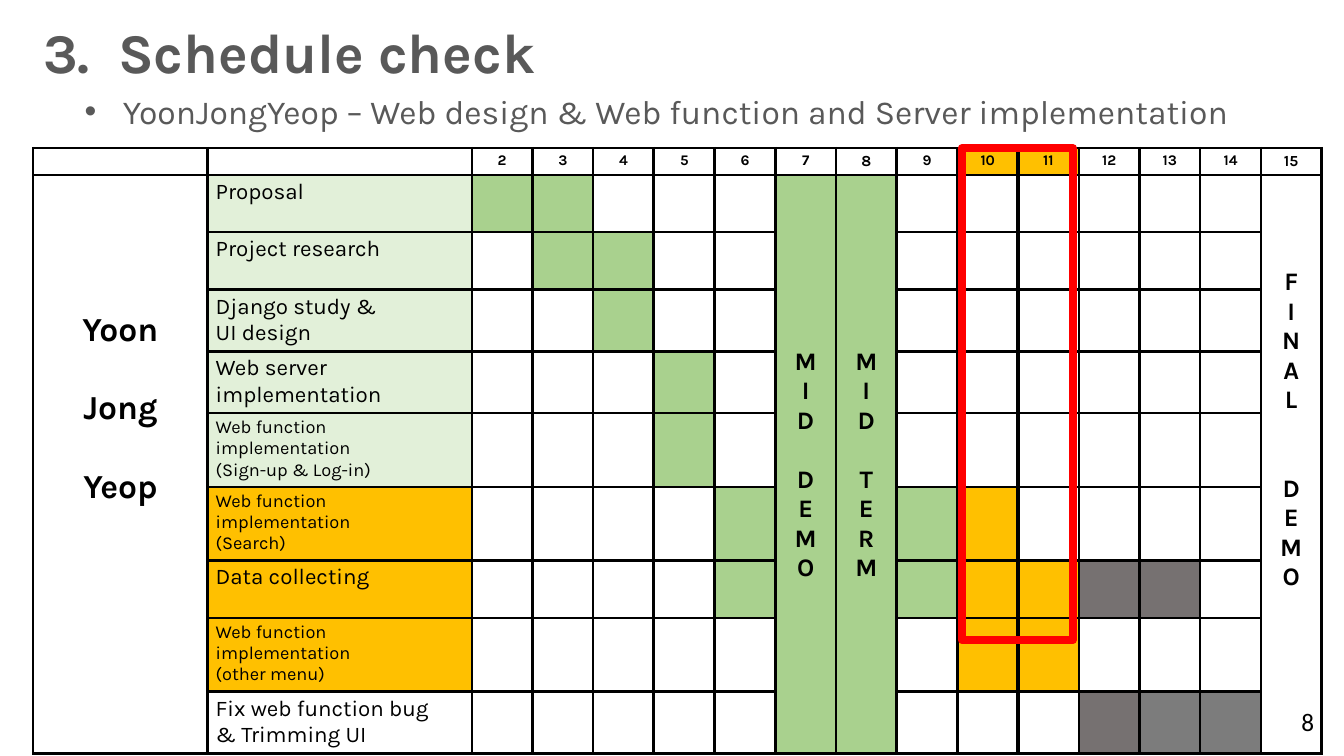
from lxml import etree
from pptx import Presentation
from pptx.dml.color import RGBColor
from pptx.enum.shapes import MSO_SHAPE
from pptx.enum.text import MSO_ANCHOR, PP_ALIGN
from pptx.oxml.ns import qn
from pptx.util import Inches, Pt

CENTER, LEFT = PP_ALIGN.CENTER, PP_ALIGN.LEFT
TOP, MIDDLE = MSO_ANCHOR.TOP, MSO_ANCHOR.MIDDLE

COLORS = {
    "text": "595959", "black": "000000", "white": "FFFFFF", "marker": "FF0000",
    "finished": "E2F0D9", "done": "A9D18E", "current": "FFC000",
    "planned": "767171", "last": "7C7C7C",
}
WEEKS = range(2, 16)
FIRST_WEEK_COLUMN = 2
LEFT_EDGE, TABLE_TOP = 0.33, 1.47
NAME_WIDTH, TASK_WIDTH, WEEK_WIDTH = 1.73, 2.62, 0.602
ROW_HEIGHTS = [0.25, 0.57, 0.57, 0.61, 0.61, 0.57, 0.57, 0.57, 0.57, 0.61]

# Task lines, text size, task state, colour of each marked week
TASKS = [
    (["Proposal"], 16, "finished", {2: "done", 3: "done"}),
    (["Project research"], 16, "finished", {3: "done", 4: "done"}),
    (["Django study &", "UI design"], 16, "finished", {4: "done"}),
    (["Web server implementation"], 16, "finished", {5: "done"}),
    (["Web function implementation", "(Sign-up & Log-in)"], 13, "finished", {5: "done"}),
    (["Web function implementation", "(Search)"], 13, "current",
     {6: "done", 9: "done", 10: "current"}),
    (["Data collecting"], 16, "current",
     {6: "done", 9: "done", 10: "current", 11: "current", 12: "planned", 13: "planned"}),
    (["Web function implementation", "(other menu)"], 13, "current",
     {10: "current", 11: "current"}),
    (["Fix web function bug", "& Trimming UI"], 16, "white",
     {12: "planned", 13: "last", 14: "last"}),
]
# Week, words, fill, anchor, top margin, gap between the words in points
MILESTONES = [
    (7, ["MID", "DEMO"], "done", MIDDLE, 0.06, 21),
    (8, ["MID", "TERM"], "done", MIDDLE, 0.06, 21),
    (15, ["FINAL", "DEMO"], "white", TOP, 0.92, 42),
]


def write(frame, lines, size, color="black", bold=False, align=LEFT, font="Karla"):
    frame.text = "\n".join(lines)
    for paragraph in frame.paragraphs:
        paragraph.alignment = align
        paragraph.font.size = Pt(size)
        paragraph.font.name = font
        paragraph.font.bold = bold
        paragraph.font.color.rgb = RGBColor.from_string(COLORS[color])


def paint(cell, fill, right_border=1.98, left_border=1.98):
    """Fill a cell and give it black borders, with widths in points."""
    cell.fill.solid()
    cell.fill.fore_color.rgb = RGBColor.from_string(COLORS[fill])
    properties = cell._tc.get_or_add_tcPr()
    widths = {"a:lnL": left_border, "a:lnR": right_border, "a:lnT": 1.98, "a:lnB": 1.98}
    for position, (side, width) in enumerate(widths.items()):
        border = etree.Element(qn(side), w=str(Pt(width)))
        line_fill = etree.SubElement(border, qn("a:solidFill"))
        etree.SubElement(line_fill, qn("a:srgbClr"), val=COLORS["black"])
        properties.insert(position, border)


prs = Presentation()
prs.slide_width, prs.slide_height = Inches(13.33), Inches(7.5)
slide = prs.slides.add_slide(prs.slide_layouts[6])

# Subtitle
subtitle = slide.shapes.add_textbox(Inches(0.74), Inches(0.85), Inches(12.6), Inches(0.5)).text_frame
subtitle.word_wrap = True
write(subtitle, ["YoonJongYeop – Web design & Web function and Server implementation"], 24, "text")
bullet_properties = subtitle.paragraphs[0]._p.get_or_add_pPr()
bullet_properties.set("marL", str(Inches(0.38)))
bullet_properties.set("indent", str(-Inches(0.38)))
bullet_font = etree.Element(qn("a:buFont"), typeface="Arial")
bullet_properties.insert(0, bullet_font)
bullet_font.addnext(etree.Element(qn("a:buChar"), char="•"))

# Schedule grid
column_widths = [NAME_WIDTH, TASK_WIDTH] + [WEEK_WIDTH] * len(WEEKS)
schedule = slide.shapes.add_table(
    len(ROW_HEIGHTS), len(column_widths), Inches(LEFT_EDGE), Inches(TABLE_TOP),
    Inches(sum(column_widths)), Inches(sum(ROW_HEIGHTS))).table
schedule.first_row = schedule.horz_banding = False
for column, width in zip(schedule.columns, column_widths):
    column.width = Inches(width)
for row, height in zip(schedule.rows, ROW_HEIGHTS):
    row.height = Inches(height)
    for cell in row.cells:
        cell.margin_left = cell.margin_right = Inches(0.08)
        cell.margin_top = cell.margin_bottom = Inches(0.04)

# Week numbers and tasks
headings = ["", ""] + [str(week) for week in WEEKS]
for column, heading in enumerate(headings):
    size = 11 if heading in ("8", "15") else 10.5
    write(schedule.cell(0, column).text_frame, [heading], size, bold=True, align=CENTER)
for row, (lines, size, state, marked) in enumerate(TASKS, start=1):
    write(schedule.cell(row, 1).text_frame, lines, size)

# Cell colours; the lines after weeks 4 and 10 are heavier
states = ["white"] + [state for lines, size, state, marked in TASKS]
marks = [{10: "current", 11: "current"}] + [marked for lines, size, state, marked in TASKS]
for row, (state, marked) in enumerate(zip(states, marks)):
    paint(schedule.cell(row, 0), "white")
    paint(schedule.cell(row, 1), state)
    for column, week in enumerate(WEEKS, start=FIRST_WEEK_COLUMN):
        paint(schedule.cell(row, column), marked.get(week, "white"),
              right_border=2.55 if week in (4, 10) else 1.98,
              left_border=2.55 if week in (5, 11) else 1.98)

# Member name
member = schedule.cell(1, 0)
member.merge(schedule.cell(len(TASKS), 0))
member.margin_top = Inches(1.35)
write(member.text_frame, ["Yoon", "Jong", "Yeop"], 24, bold=True, align=CENTER)
for paragraph in member.text_frame.paragraphs[1:]:
    paragraph.space_before = Pt(28)

# Milestones, one letter to a line
for week, words, fill, anchor, margin_top, gap in MILESTONES:
    column = FIRST_WEEK_COLUMN + WEEKS.index(week)
    milestone = schedule.cell(1, column)
    milestone.merge(schedule.cell(len(TASKS), column))
    milestone.fill.fore_color.rgb = RGBColor.from_string(COLORS[fill])
    milestone.vertical_anchor = anchor
    milestone.margin_top = Inches(margin_top)
    write(milestone.text_frame, "".join(words), 18, bold=True, align=CENTER)
    milestone.text_frame.paragraphs[len(words[0])].space_before = Pt(gap)

# Slide number and title
number = slide.shapes.add_textbox(Inches(12.81), Inches(6.96), Inches(0.33), Inches(0.4)).text_frame
number.word_wrap = False
write(number, ["8"], 18, font="Calibri")
title = slide.shapes.add_textbox(Inches(LEFT_EDGE), Inches(0.12), Inches(6.12), Inches(0.77)).text_frame
title.word_wrap = True
write(title, ["3.  Schedule check"], 40, "text", bold=True)

# Frame around the current weeks
current_weeks = slide.shapes.add_shape(
    MSO_SHAPE.RECTANGLE, Inches(9.54), Inches(TABLE_TOP), Inches(1.1), Inches(4.88))
current_weeks.shadow.inherit = False
current_weeks.fill.background()
current_weeks.line.color.rgb = RGBColor.from_string(COLORS["marker"])
current_weeks.line.width = Pt(6)

prs.save("out.pptx")
